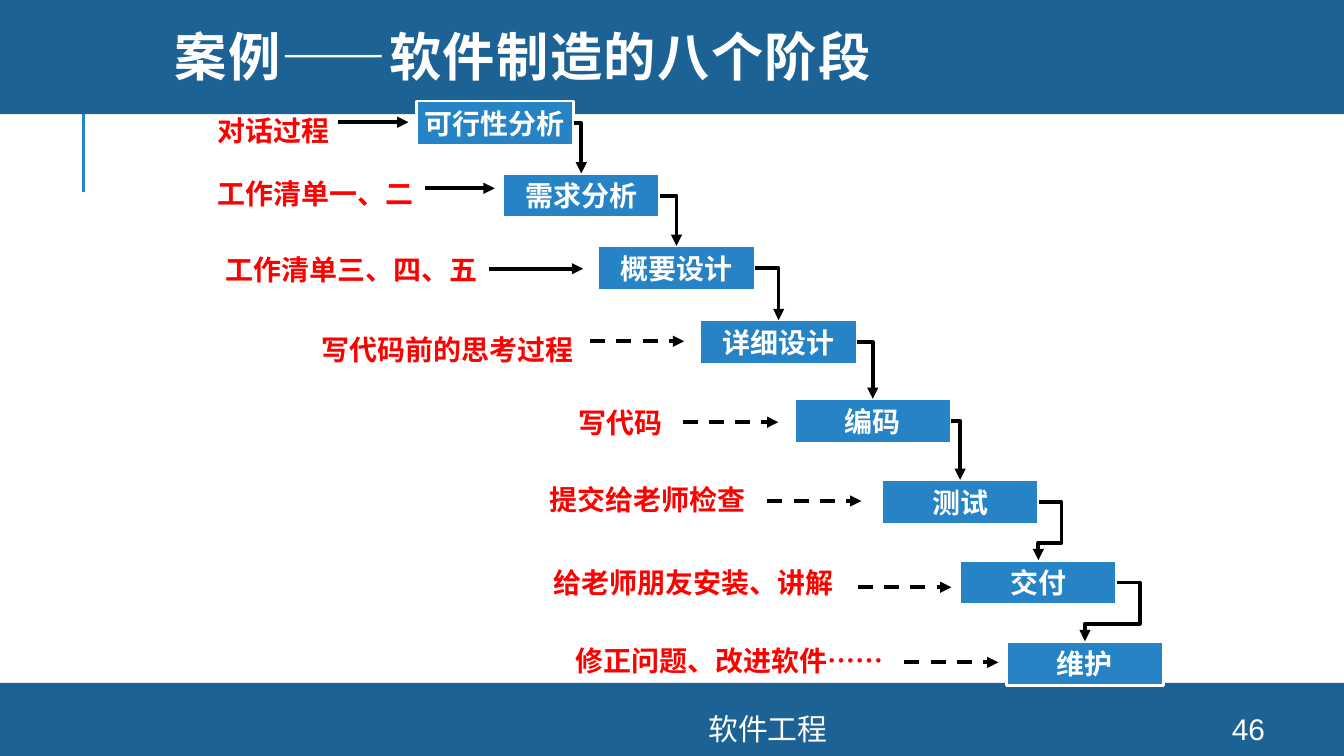
from lxml import etree
from pptx import Presentation
from pptx import util as u
from pptx.dml.color import RGBColor
from pptx.enum import dml, shapes, text
from pptx.oxml import ns

Cm, Pt = u.Cm, u.Pt
BLUE, DARK, WHITE, RED, BLACK = "2683C6", "1D6294", "FFFFFF", "FF0000", "000000"


def write(shape, words, size, color, bold=True, font="Arial", align=text.PP_ALIGN.CENTER):
    frame = shape.text_frame
    frame.word_wrap = True
    frame.vertical_anchor = text.MSO_ANCHOR.MIDDLE
    para = frame.paragraphs[0]
    para.alignment = align
    run = para.add_run()
    run.text = words
    run.font.size, run.font.bold, run.font.name = Pt(size), bold, font
    run.font.color.rgb = RGBColor.from_string(color)
    return para


def draw(kind, x1, y1, x2, y2, color=BLACK, width=2, head=True):
    line = tree.add_connector(kind, Cm(x1), Cm(y1), Cm(x2), Cm(y2))
    line.line.color.rgb = RGBColor.from_string(color)
    line.line.width = Pt(width)
    if head:
        etree.SubElement(line.line._get_or_add_ln(), ns.qn("a:tailEnd"), type="triangle")
    etree.SubElement(line._element.spPr, ns.qn("a:effectLst"))
    return line


deck = Presentation()
deck.slide_width, deck.slide_height = Cm(25.4), Cm(14.29)
tree = deck.slides.add_slide(deck.slide_layouts[6]).shapes
STRAIGHT, ELBOW = shapes.MSO_CONNECTOR.STRAIGHT, shapes.MSO_CONNECTOR.ELBOW
RECT = shapes.MSO_SHAPE.RECTANGLE
LEFT = text.PP_ALIGN.LEFT

# Side rule and the two bands
draw(STRAIGHT, 1.58, 3.63, 1.58, 1.73, BLUE, 1.5, head=False)
for top, high in ((12.91, 1.38), (-0.08, 2.24)):
    band = tree.add_shape(RECT, 0, Cm(top), Cm(25.4), Cm(high))
    band.shadow.inherit = False
    band.fill.solid()
    band.fill.fore_color.rgb = RGBColor.from_string(DARK)
    band.line.fill.background()

# Stage, box left and top; note, its left, top and width; arrow start, end and height
steps = [
    ("可行性分析", 7.87, 1.91, "对话过程", 3.86, 2.01, 2.79, 6.38, 7.72, 2.31),
    ("需求分析", 9.5, 3.28, "工作清单一、二", 3.86, 3.2, 4.32, 8.03, 9.35, 3.56),
    ("概要设计", 11.3, 4.65, "工作清单三、四、五", 4.01, 4.65, 5.44, 9.25, 11.02, 5.08),
    ("详细设计", 13.23, 6.05, "写代码前的思考过程", 5.82, 6.15, 5.4, 11.15, 12.93, 6.45),
    ("编码", 15.01, 7.54, "写代码", 10.69, 7.54, 2.39, 12.9, 14.71, 7.98),
    ("测试", 16.66, 9.07, "提交给老师检查", 10.13, 8.99, 5.03, 14.5, 16.28, 9.47),
    ("交付", 18.14, 10.59, "给老师朋友安装、讲解", 10.21, 10.57, 5.84, 16.21, 17.98, 11.1),
    ("维护", 19.02, 12.12, "修正问题、改进软件……", 10.62, 12.04, 6.48, 17.09, 18.87, 12.52),
]
boxes = []
for n, (stage, left, top, note, nx, ny, wide, start, end, high) in enumerate(steps):
    box = tree.add_shape(RECT, Cm(left), Cm(top), Cm(2.97), Cm(0.84))
    box.shadow.inherit = False
    box.fill.solid()
    box.fill.fore_color.rgb = RGBColor.from_string(BLUE)
    box.line.color.rgb = RGBColor.from_string(WHITE)
    box.line.width = Pt(1.5)
    write(box, stage, 15, WHITE)
    box.text_frame.word_wrap = False
    boxes.append(box)

    label = tree.add_textbox(Cm(nx), Cm(ny), Cm(wide), Cm(0.89))
    write(label, note, 15, RED, align=LEFT)
    arrow = draw(STRAIGHT, start, high, end, high)
    if n > 2:
        arrow.line.dash_style = dml.MSO_LINE.DASH

# Elbows from the right side of each box to the top of the next
for box, after in zip(boxes, boxes[1:]):
    elbow = draw(ELBOW, 0, 0, 1, 1)
    elbow.begin_connect(box, 3)
    elbow.end_connect(after, 0)
    geom = elbow._element.spPr.find(ns.qn("a:prstGeom"))
    if elbow.end_x > elbow.begin_x:
        geom.set("prst", "bentConnector2")
        continue
    # The next box starts too far left, so the line loops round
    geom.set("prst", "bentConnector4")
    bends = geom.get_or_add_avLst()
    out = -round(Cm(0.43) / max(elbow.width, 1) * 100000)
    for name, value in (("adj1", out), ("adj2", 70200)):
        etree.SubElement(bends, ns.qn("a:gd"), name=name, fmla=f"val {value}")

# Title
title = tree.add_textbox(Cm(3.05), 0, Cm(21.56), Cm(2.31))
para = write(title, "案例——软件制造的八个阶段", 28, WHITE, font="Times New Roman", align=LEFT)
para.line_spacing = 0.8
para.runs[0].font._element.set("spc", "80")

# Page number and footer
for words, left, wide in (("46", 22.58, 2.03), ("软件工程", 6.63, 15.77)):
    foot = tree.add_textbox(Cm(left), Cm(13.49), Cm(wide), Cm(0.58))
    write(foot, words, 16, WHITE, bold=False)

deck.save("out.pptx")
